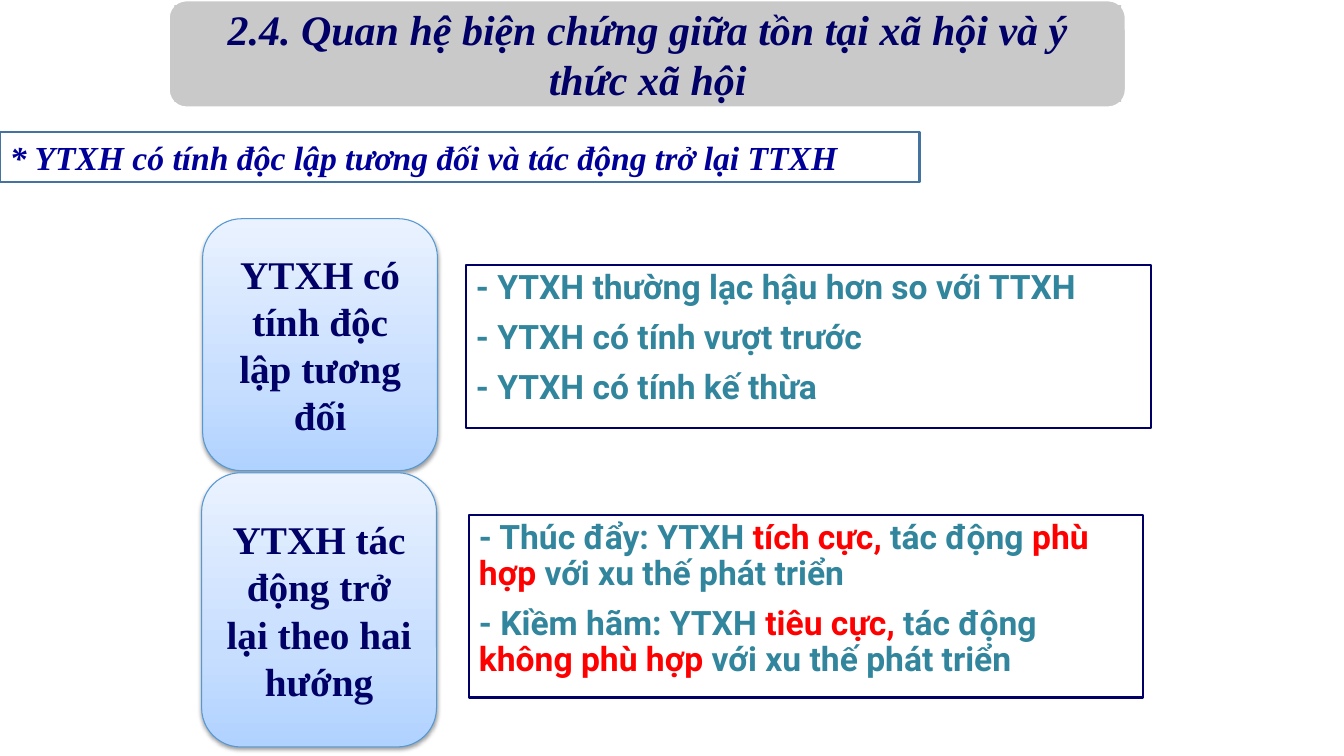
from dataclasses import dataclass

from lxml.etree import SubElement
from pptx import Presentation
from pptx.dml.color import RGBColor as RGB
from pptx.enum.shapes import MSO_SHAPE as Kind
from pptx.enum.text import MSO_ANCHOR as Anchor, MSO_AUTO_SIZE as Fit, PP_ALIGN as Align
from pptx.oxml.ns import qn
from pptx.util import Inches, Pt


@dataclass(frozen=True)
class Theme:
    navy: str = "000066"
    blue: str = "000099"
    teal: str = "31859C"
    red: str = "FF0000"
    gray: str = "C9C9C9"
    white: str = "FFFFFF"
    edge: str = "43739E"
    rim: str = "5698D3"
    fade: tuple = ((0, "B0D2FF"), (35, "C7DEFF"), (100, "EAF2FF"))
    serif: str = "Times New Roman"
    sans: str = "Roboto"
    head: int = 30
    card: int = 28
    text: int = 24


look = Theme()


def write(shape, *lines, font=look.serif, size=look.text, color=look.navy,
          italic=False, align=Align.LEFT, anchor=Anchor.TOP, side=0.1, edge=0.05,
          gap=0, pitch=1.0, fit=Fit.NONE):
    """Fill a shape with paragraphs; parts between bars turn red."""
    frame = shape.text_frame
    frame.word_wrap = True
    frame.auto_size = fit
    frame.vertical_anchor = anchor
    frame.margin_left = frame.margin_right = Inches(side)
    frame.margin_top = frame.margin_bottom = Inches(edge)
    for i, line in enumerate(lines):
        para = frame.add_paragraph() if i else frame.paragraphs[0]
        para.alignment = align
        para.space_before = Pt(gap)
        para.line_spacing = pitch
        props = para._p.get_or_add_pPr()
        props.set("marL", "0")
        props.set("indent", "0")
        SubElement(props, qn("a:buNone"))
        for j, part in enumerate(line.split("|")):
            run = para.add_run()
            run.text = part
            run.font.name = font
            run.font.size = Pt(size)
            run.font.bold = True
            run.font.italic = italic
            run.font.color.rgb = RGB.from_string(look.red if j % 2 else color)


def place(shape, box, line=None, width=1.5, fill=None):
    """Set the box in inches, the outline and the fill."""
    shape.left, shape.top, shape.width, shape.height = map(Inches, box)
    shape.shadow.inherit = False
    if fill:
        shape.fill.solid()
        shape.fill.fore_color.rgb = RGB.from_string(fill)
    else:
        shape.fill.background()
    if line:
        shape.line.color.rgb = RGB.from_string(line)
        shape.line.width = Pt(width)
    else:
        shape.line.fill.background()


deck = Presentation()
deck.slide_width, deck.slide_height = Inches(13.33), Inches(7.5)
slide = deck.slides.add_slide(deck.slide_layouts[3])
shapes = slide.shapes
title, *lists = slide.placeholders

# Heading on its rounded plate
plate = shapes.add_shape(Kind.ROUNDED_RECTANGLE, 0, 0, 0, 0)
place(plate, (1.67, 0, 9.5, 1.07), look.white, 2, look.gray)
title._element.addprevious(plate._element)
place(title, (1.73, 0.05, 9.39, 0.96), fill=look.gray)
write(title, "2.4. Quan hệ biện chứng giữa tồn tại xã hội và ý thức xã hội",
      size=look.head, italic=True, align=Align.CENTER, anchor=Anchor.MIDDLE,
      side=0.24, edge=0)

# Subheading
sub = shapes.add_shape(Kind.RECTANGLE, 0, 0, 0, 0)
place(sub, (0, 1.31, 9.12, 0.5), look.edge)
write(sub, "* YTXH có tính độc lập tương đối và tác động trở lại TTXH",
      color=look.blue, italic=True, align=Align.JUSTIFY, fit=Fit.SHAPE_TO_FIT_TEXT)

# Each row: a card and its list
rows = (
    ("YTXH có tính độc lập tương đối", (2.01, 2.17, 2.33, 2.5), (4.62, 2.63, 6.8, 1.62),
     ("- YTXH thường lạc hậu hơn so với TTXH",
      "- YTXH có tính vượt trước",
      "- YTXH có tính kế thừa")),
    ("YTXH tác động trở lại theo hai hướng", (2, 4.69, 2.33, 2.72), (4.65, 5.11, 6.69, 1.81),
     ("- Thúc đẩy: YTXH |tích cực, |tác động |phù hợp |với xu thế phát triển",
      "- Kiềm hãm: YTXH |tiêu cực,| tác động |không phù hợp| với xu thế phát triển")),
)
for body, (label, spot, box, points) in zip(lists, rows):
    place(body, box, look.navy)
    write(body, *points, font=look.sans, color=look.teal, gap=10, pitch=0.9)

    card = shapes.add_shape(Kind.FLOWCHART_ALTERNATE_PROCESS, 0, 0, 0, 0)
    place(card, spot, look.rim, 0.75)
    write(card, label, size=look.card, align=Align.CENTER, anchor=Anchor.MIDDLE)

    card.fill.gradient()
    card.fill.gradient_angle = 90
    stops = card._element.spPr.find(".//" + qn("a:gsLst"))
    stops.clear()
    for pos, shade in look.fade:
        stop = SubElement(stops, qn("a:gs"), pos=str(pos * 1000))
        SubElement(stop, qn("a:srgbClr"), val=shade)

    glow = SubElement(card._element.spPr.find(qn("a:effectLst")), qn("a:outerShdw"),
                      blurRad=str(Pt(3.1)), dist=str(Pt(1.6)), dir="5400000", rotWithShape="0")
    tint = SubElement(glow, qn("a:srgbClr"), val="000000")
    SubElement(tint, qn("a:alpha"), val="38000")

deck.save("out.pptx")
